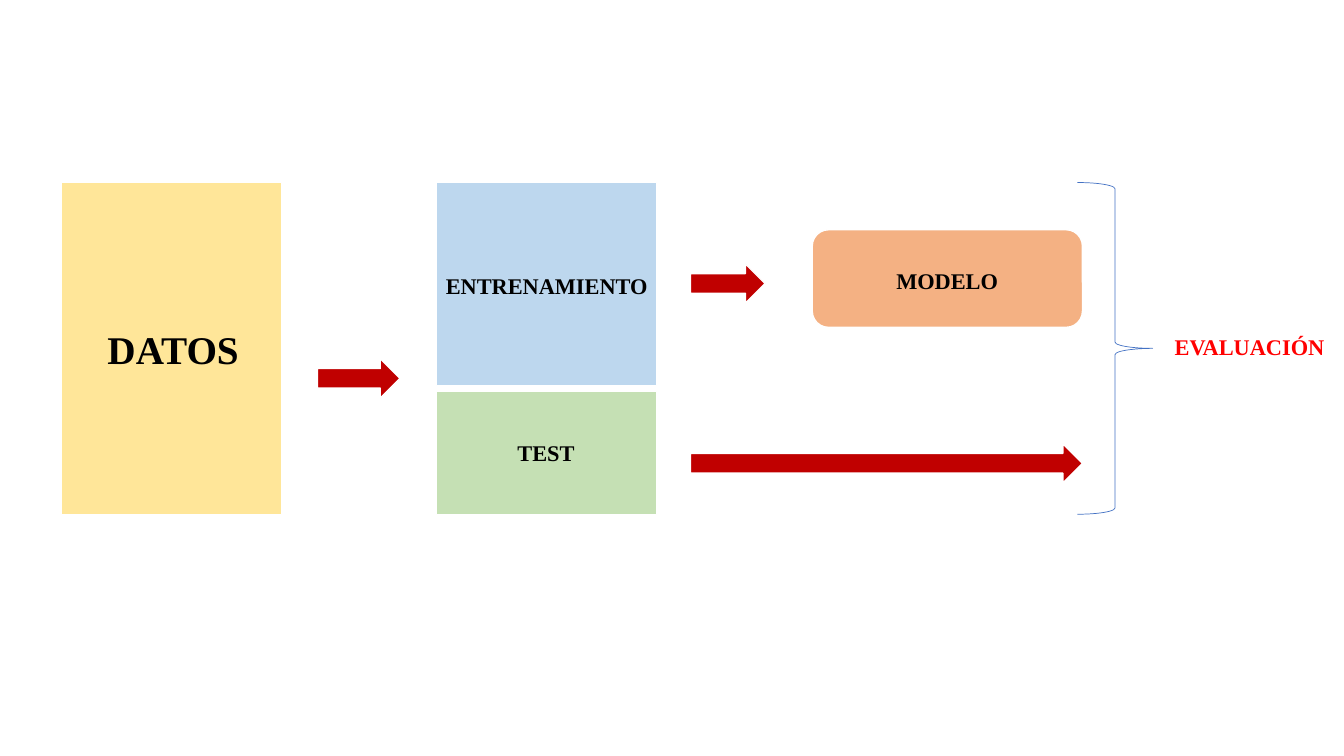
import dataclasses

import pptx
import pptx.dml.color
import pptx.enum.shapes
import pptx.enum.text
import pptx.util

Cm = pptx.util.Cm
Kind = pptx.enum.shapes.MSO_SHAPE
Align = pptx.enum.text.PP_ALIGN


@dataclasses.dataclass(frozen=True)
class Theme:
    """Colours, font and sizes shared by the diagram."""

    font: str = "Times New Roman"
    title_size: int = 28
    label_size: int = 16
    outline_width: float = 1
    brace_width: float = 0.5
    data: str = "FFE699"
    training: str = "BDD7EE"
    test: str = "C5E0B4"
    model: str = "F4B183"
    arrow: str = "C00000"
    outline: str = "FFFFFF"
    brace: str = "4472C4"
    text: str = "000000"
    evaluation: str = "FF0000"


THEME = Theme()
TOP = 4.6
BOX_WIDTH = 5.54
BOX_HEIGHT = 8.36
SPLIT_LEFT = 11
TRAINING_HEIGHT = 5.11
TEST_HEIGHT = 3.1
ARROW_LEFT = 17.4
ARROW_HEIGHT = 0.99
LABEL_WIDTH = 4.72
LABEL_HEIGHT = 0.94


def rgb(colour):
    """Return the colour object for a hexadecimal string."""
    return pptx.dml.color.RGBColor.from_string(colour)


def add_block(slide, kind, left, top, width, height, fill):
    """Add a filled shape with a thin white outline."""
    shape = slide.shapes.add_shape(kind, Cm(left), Cm(top), Cm(width), Cm(height))
    shape.shadow.inherit = False
    shape.fill.solid()
    shape.fill.fore_color.rgb = rgb(fill)
    shape.line.color.rgb = rgb(THEME.outline)
    shape.line.width = pptx.util.Pt(THEME.outline_width)


def add_arrow(slide, left, top, width):
    """Add a red block arrow pointing right."""
    add_block(slide, Kind.RIGHT_ARROW, left, top, width, ARROW_HEIGHT, THEME.arrow)


def add_brace(slide, left, top, width, height):
    """Add an unfilled right brace."""
    shape = slide.shapes.add_shape(
        Kind.RIGHT_BRACE, Cm(left), Cm(top), Cm(width), Cm(height))
    shape.shadow.inherit = False
    shape.fill.background()
    shape.line.color.rgb = rgb(THEME.brace)
    shape.line.width = pptx.util.Pt(THEME.brace_width)


def add_label(slide, text, left, top, width=LABEL_WIDTH, height=LABEL_HEIGHT,
              size=THEME.label_size, colour=THEME.text, align=Align.CENTER):
    """Add a bold one-line text box."""
    shape = slide.shapes.add_textbox(Cm(left), Cm(top), Cm(width), Cm(height))
    frame = shape.text_frame
    frame.word_wrap = True
    frame.auto_size = pptx.enum.text.MSO_AUTO_SIZE.SHAPE_TO_FIT_TEXT
    paragraph = frame.paragraphs[0]
    paragraph.alignment = align
    run = paragraph.add_run()
    run.text = text
    run.font.name = THEME.font
    run.font.size = pptx.util.Pt(size)
    run.font.bold = True
    run.font.color.rgb = rgb(colour)


def main():
    """Build the slide on data splitting and model evaluation."""
    presentation = pptx.Presentation()
    presentation.slide_width = Cm(33.87)
    presentation.slide_height = Cm(19.05)
    slide = presentation.slides.add_slide(presentation.slide_layouts[6])

    test_top = TOP + BOX_HEIGHT - TEST_HEIGHT
    add_block(slide, Kind.RECTANGLE, 1.55, TOP, BOX_WIDTH, BOX_HEIGHT, THEME.data)
    add_block(slide, Kind.RECTANGLE, SPLIT_LEFT, TOP, BOX_WIDTH, TRAINING_HEIGHT,
              THEME.training)
    add_block(slide, Kind.RECTANGLE, SPLIT_LEFT, test_top, BOX_WIDTH, TEST_HEIGHT,
              THEME.test)
    add_block(slide, Kind.ROUNDED_RECTANGLE, 20.47, 5.79, 6.81, 2.46, THEME.model)

    add_arrow(slide, ARROW_LEFT, 6.65, 1.88)
    add_arrow(slide, ARROW_LEFT, 11.18, 9.88)
    add_arrow(slide, 8, 9.04, 2.08)
    add_brace(slide, 27.15, TOP, 1.9, BOX_HEIGHT)

    add_label(slide, "DATOS", 2.46, 8.08, 3.94, 1.45, THEME.title_size,
              align=Align.LEFT)
    add_label(slide, "ENTRENAMIENTO", 10.92, 6.73, width=5.72)
    add_label(slide, "TEST", 11.4, 10.95)
    add_label(slide, "MODELO", 21.51, 6.6)
    add_label(slide, "EVALUACIÓN", 29.13, 8.26, colour=THEME.evaluation)

    presentation.save("out.pptx")


main()
